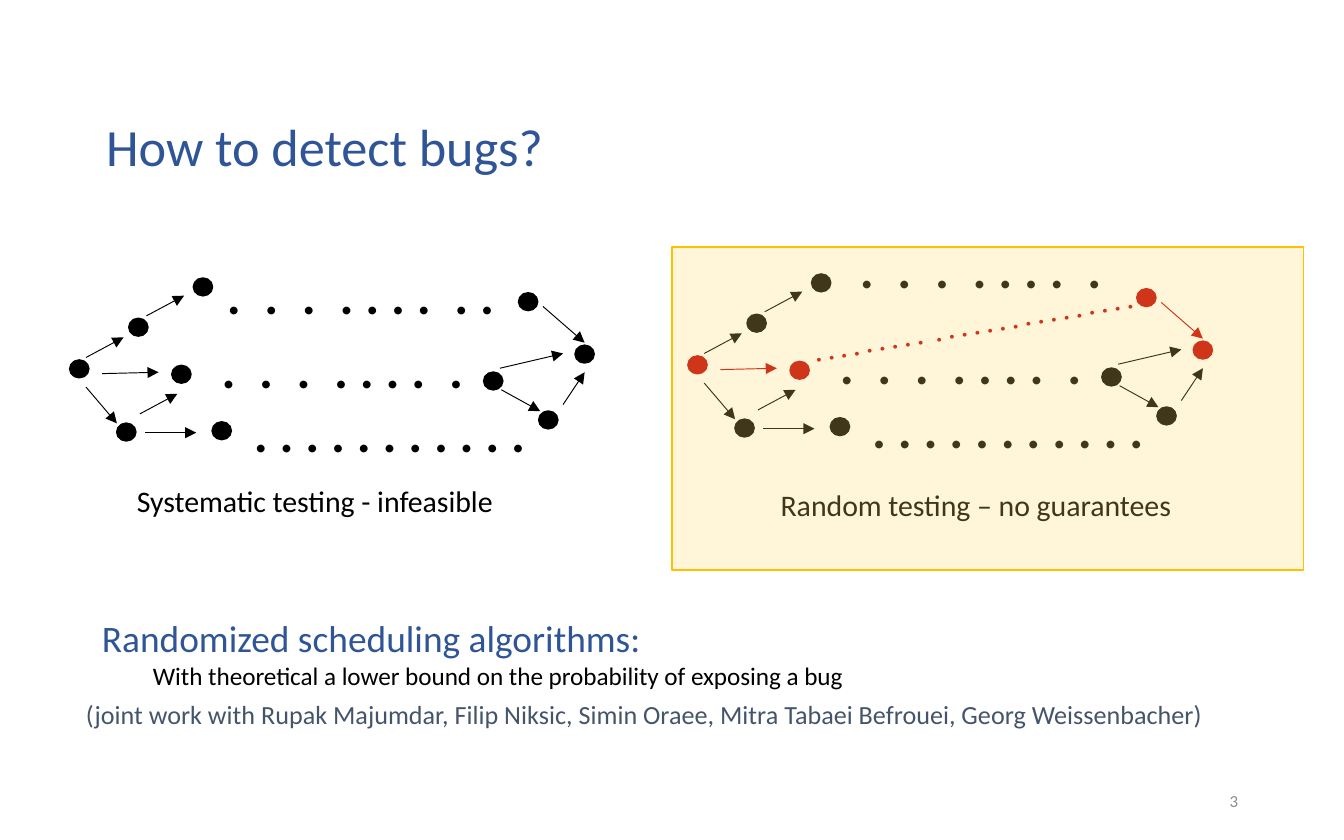
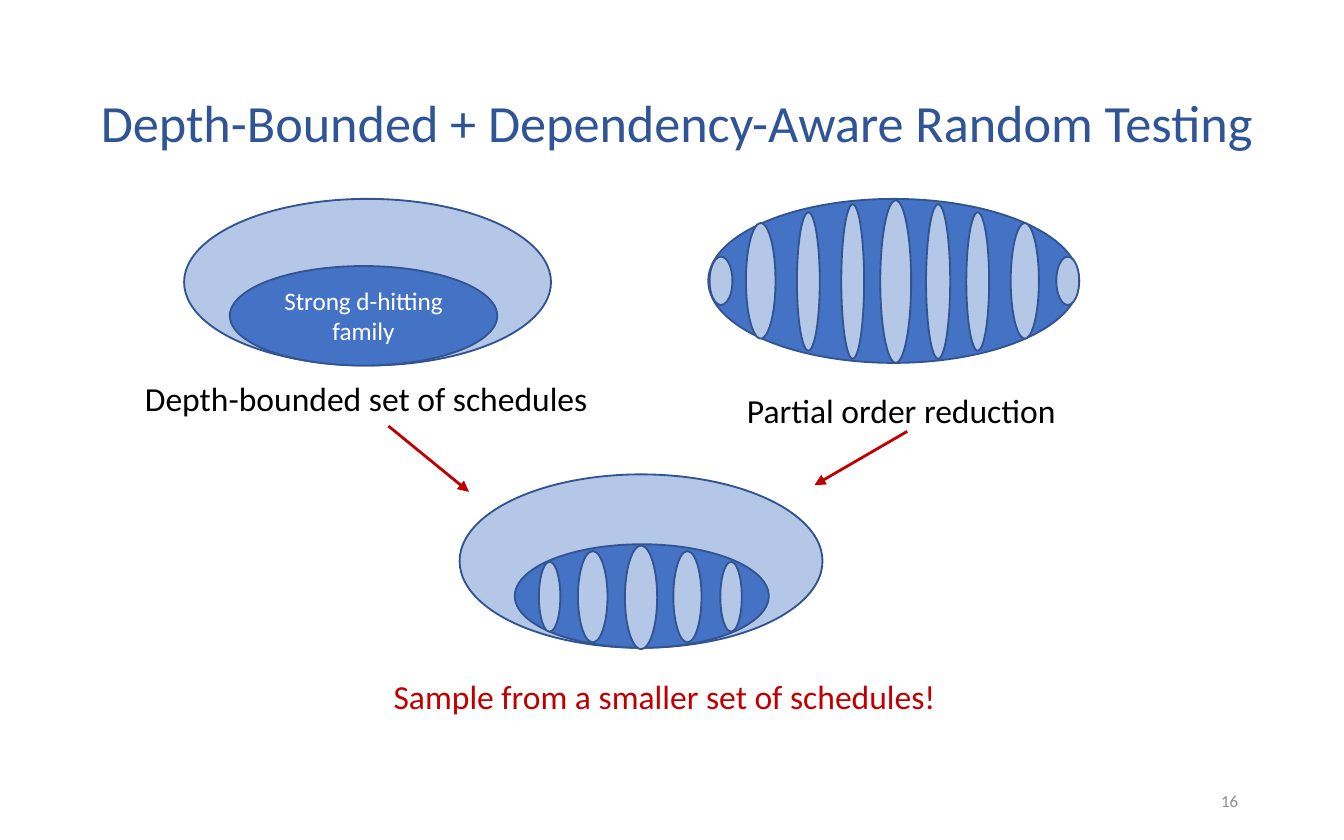
import pptx
import pptx.dml.color
import pptx.enum.shapes
import pptx.enum.text
import pptx.oxml
import pptx.oxml.ns
import pptx.util
from lxml import etree

PX = 9144  # one px is a hundredth of an inch
FONT = "Calibri"
COLOURS = {
    "title": "2F5597",
    "text": "000000",
    "bug": "C00000",
    "credit": "44546A",
    "number": "8C8C8C",
    "light": "B4C7E7",
    "dark": "4472C4",
    "outline": "325491",
    "white": "FFFFFF",
    "highlight": "FFD966",
    "highlight_line": "FFC000",
}
ALIGN = pptx.enum.text.PP_ALIGN
MIDDLE = pptx.enum.text.MSO_ANCHOR.MIDDLE
SHAPES = pptx.enum.shapes.MSO_SHAPE

# Schedule graph, placed for the left panel: name -> left, top
NODES = {
    "start": (52, 268), "upper": (96, 237), "top": (144, 207),
    "middle": (128, 272), "lower": (87, 315), "bottom": (158, 314),
    "late middle": (360, 277), "late bottom": (401, 306),
    "late top": (386, 218), "end": (428, 257),
}
# (from node, to node) -> x1, y1, x2, y2
EDGES = {
    ("start", "upper"): (64, 266, 92, 251),
    ("upper", "top"): (109, 235, 137, 220),
    ("start", "middle"): (76, 278, 118, 277),
    ("start", "lower"): (64, 288, 87, 315),
    ("lower", "middle"): (104, 308, 132, 293),
    ("lower", "bottom"): (108, 322, 146, 322),
    ("late middle", "late bottom"): (373, 290, 402, 306),
    ("late middle", "end"): (372, 274, 419, 263),
    ("late bottom", "end"): (419, 301, 435, 277),
    ("late top", "end"): (404, 228, 435, 255),
}
BUGGY_SCHEDULE = ("start", "middle", "late top", "end")
EIGHT_DOTS = ".  .  .  . . . .  ."
NINE_DOTS = EIGHT_DOTS + " ."
ELEVEN_DOTS = " ".join("." * 11)
BUG_DOTS = " ".join("." * 9) + "  " + " ".join("." * 16)

# Stripes of an ellipse: left, width, height
REDUCTION_STRIPES = [
    (528, 17, 36), (555, 22, 86), (593, 17, 103), (626, 17, 115), (655, 23, 121),
    (689, 18, 115), (719, 17, 103), (752, 21, 86), (786, 17, 36),
]
COMBINED_STRIPES = [
    (401, 16, 52), (430, 22, 68), (465, 24, 77), (501, 21, 68), (536, 16, 52),
]


def emu(*lengths):
    return [pptx.util.Emu(round(length * PX)) for length in lengths]


def rgb(name):
    return pptx.dml.color.RGBColor.from_string(COLOURS[name])


def style(paragraph, size, colour, bold=False):
    for run in paragraph.runs:
        run.font.name = FONT
        run.font.size = pptx.util.Pt(size)
        run.font.bold = bold
        run.font.color.rgb = rgb(colour)


def add_text(shapes, box, text, size, colour="text", bold=False, wrap=True):
    textbox = shapes.add_textbox(*emu(*box))
    text_frame = textbox.text_frame
    text_frame.word_wrap = wrap
    text_frame.text = text
    style(text_frame.paragraphs[0], size, colour, bold)
    return textbox


def add_filled(shapes, kind, box, fill, line):
    shape = shapes.add_shape(kind, *emu(*box))
    shape.shadow.inherit = False
    shape.fill.solid()
    shape.fill.fore_color.rgb = rgb(fill)
    shape.line.color.rgb = rgb(line)
    shape.line.width = pptx.util.Pt(1)
    return shape


def add_ellipse(shapes, box, fill, line="outline"):
    return add_filled(shapes, SHAPES.OVAL, box, fill, line)


def add_arrow(shapes, ends, colour, width):
    arrow = shapes.add_connector(
        pptx.enum.shapes.MSO_CONNECTOR.STRAIGHT, *emu(*ends))
    arrow.line.color.rgb = rgb(colour)
    arrow.line.width = pptx.util.Pt(width)
    tail = etree.SubElement(arrow.line._get_or_add_ln(),
                            pptx.oxml.ns.qn("a:tailEnd"))
    tail.set("type", "triangle")
    etree.SubElement(arrow._element.spPr, pptx.oxml.ns.qn("a:effectLst"))


def add_titled_slide(presentation, title, box, number):
    slide = presentation.slides.add_slide(presentation.slide_layouts[5])
    placeholder = slide.shapes.title
    placeholder.left, placeholder.top, placeholder.width, placeholder.height = emu(*box)
    text_frame = placeholder.text_frame
    text_frame.text = title
    text_frame.vertical_anchor = MIDDLE
    paragraph = text_frame.paragraphs[0]
    paragraph.alignment = ALIGN.LEFT
    paragraph.line_spacing = 0.9
    style(paragraph, 28, "title")

    page = add_text(slide.shapes, (706, 579, 225, 33), str(number), 9, "number")
    page.text_frame.vertical_anchor = MIDDLE
    page.text_frame.paragraphs[0].alignment = ALIGN.RIGHT
    return slide


def add_schedule_graph(slide, dx, dy, top_dots, buggy=()):
    """Draw the graph moved by dx, dy, with the buggy nodes and edges in red."""
    shapes = slide.shapes.add_group_shape().shapes
    for name, (left, top) in NODES.items():
        colour = "bug" if name in buggy else "text"
        add_ellipse(shapes, (left + dx, top + dy, 14, 13), colour, colour)
    for nodes, (x1, y1, x2, y2) in EDGES.items():
        colour = "bug" if set(nodes) <= set(buggy) else "text"
        add_arrow(shapes, (x1 + dx, y1 + dy, x2 + dx, y2 + dy), colour, 0.5)
    for left, top, width, dots in (
            top_dots, (155, 245, 222, EIGHT_DOTS), (179, 293, 242, ELEVEN_DOTS)):
        add_text(shapes, (left + dx, top + dy, width, 57), dots, 28, bold=True)
    return shapes


def add_stripes(shapes, stripes, centre):
    for left, width, height in stripes:
        add_ellipse(shapes, (left, centre - height // 2, width, height), "light")


def build_detection_slide(presentation):
    slide = add_titled_slide(
        presentation, "How to detect bugs?", (69, 69, 862, 85), 3)
    shapes = slide.shapes
    add_schedule_graph(slide, 0, 0, (159, 190, 234, NINE_DOTS))
    random_graph = add_schedule_graph(
        slide, 460, -3, (170, 174, 222, EIGHT_DOTS), BUGGY_SCHEDULE)
    bug_path = add_text(random_graph, (590, 225, 273, 34), BUG_DOTS, 14, "bug", True)
    bug_path.text_frame.margin_left = emu(14)[0]
    bug_path.rotation = 350.3

    add_text(shapes, (92, 354, 288, 37), "Systematic testing - infeasible", 16, wrap=False)
    add_text(shapes, (571, 357, 315, 37), "Random testing – no guarantees", 16, wrap=False)
    add_text(shapes, (54, 515, 892, 34),
             "(joint work with Rupak Majumdar, Filip Niksic, Simin Oraee, "
             "Mitra Tabaei Befrouei, Georg Weissenbacher)", 14, "credit")

    algorithms = add_text(shapes, (66, 453, 817, 66),
                          "Randomized scheduling algorithms:", 20, "title")
    detail = algorithms.text_frame.add_paragraph()
    detail.text = "With theoretical a lower bound on the probability of exposing a bug"
    detail.level = 1
    properties = detail._p.get_or_add_pPr()
    properties.set("marL", str(emu(38)[0]))
    properties.set("indent", "0")
    style(detail, 13.5, "text")

    highlight = add_filled(shapes, SHAPES.RECTANGLE, (500, 184, 470, 240),
                           "highlight", "highlight_line")
    fill_colour = highlight._element.spPr.find(".//" + pptx.oxml.ns.qn("a:srgbClr"))
    etree.SubElement(fill_colour, pptx.oxml.ns.qn("a:alpha")).set("val", "25000")


def build_combination_slide(presentation):
    slide = add_titled_slide(
        presentation, "Depth-Bounded + Dependency-Aware Random Testing",
        (65, 66, 893, 55), 16)
    shapes = slide.shapes

    bounded = shapes.add_group_shape().shapes
    add_ellipse(bounded, (137, 148, 273, 124), "light")
    family = add_ellipse(bounded, (171, 198, 199, 74), "dark")
    family.text_frame.text = "Strong d-hitting family"
    family.text_frame.vertical_anchor = MIDDLE
    family.text_frame.paragraphs[0].alignment = ALIGN.CENTER
    style(family.text_frame.paragraphs[0], 13.5, "white")

    reduced = shapes.add_group_shape().shapes
    add_ellipse(reduced, (527, 148, 276, 122), "dark")
    add_stripes(reduced, REDUCTION_STRIPES, 209)

    combined = shapes.add_group_shape().shapes
    add_ellipse(combined, (342, 353, 270, 129), "light")
    add_ellipse(combined, (383, 405, 189, 77), "dark")
    add_stripes(combined, COMBINED_STRIPES, 444)

    for box, text, colour in (
            ((98, 276, 354, 40), "Depth-bounded set of schedules", "text"),
            ((546, 285, 253, 40), "Partial order reduction", "text"),
            ((283, 498, 428, 40), "Sample from a smaller set of schedules!", "bug")):
        add_text(shapes, box, text, 18, colour, wrap=False)
    for ends in ((289, 317, 349, 366), (675, 321, 606, 361)):
        add_arrow(shapes, ends, "bug", 1.5)


def main():
    presentation = pptx.Presentation()
    presentation.slide_width, presentation.slide_height = emu(1000, 625)
    build_detection_slide(presentation)
    build_combination_slide(presentation)
    presentation.save("out.pptx")


if __name__ == "__main__":
    main()
